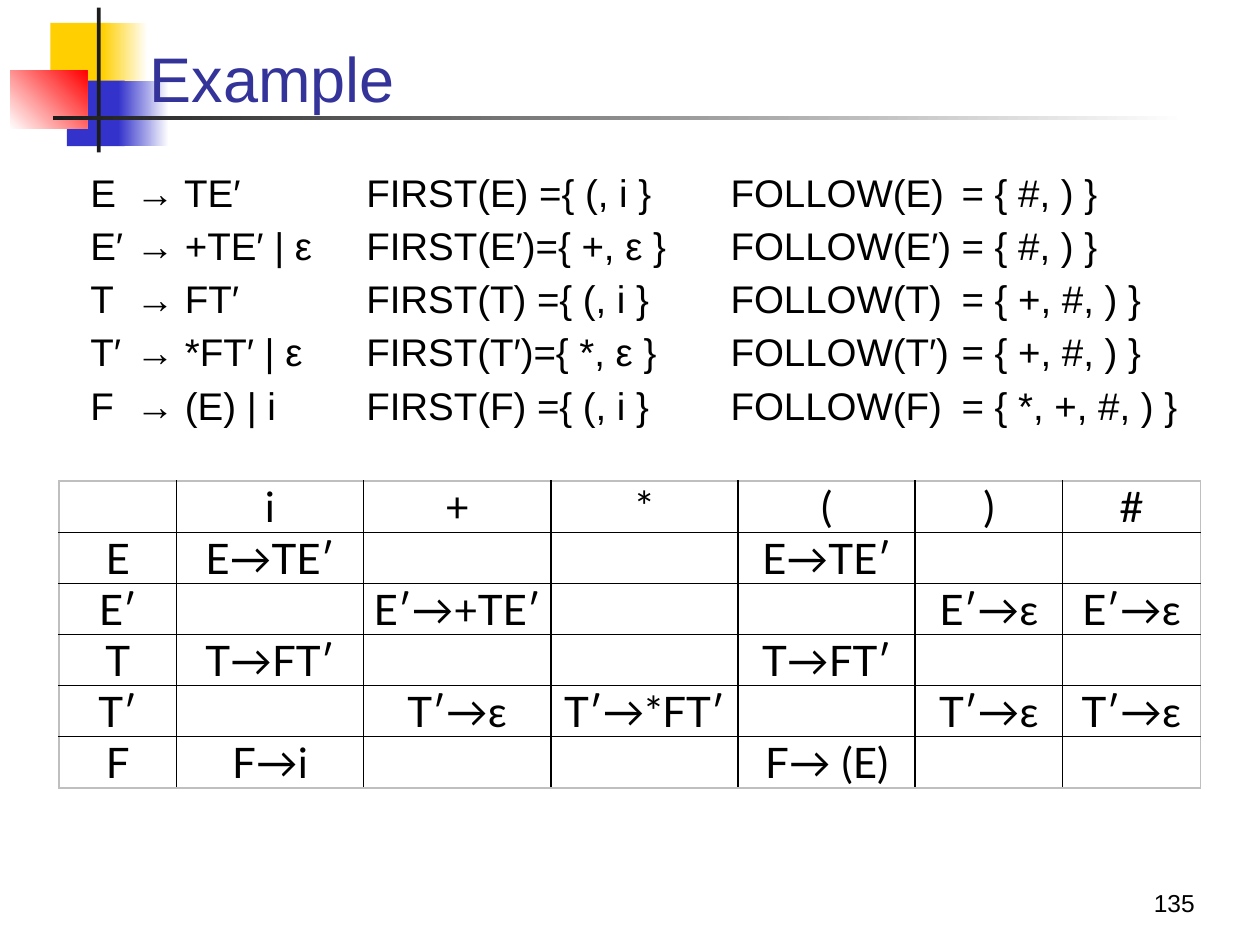
"""Build a slide with an LL(1) grammar, its FIRST and FOLLOW sets and the parse table."""
from dataclasses import dataclass
from lxml.etree import SubElement
from pptx import Presentation
from pptx.dml.color import RGBColor
from pptx.enum.shapes import MSO_SHAPE
from pptx.enum.text import MSO_ANCHOR, PP_ALIGN
from pptx.oxml.ns import qn
from pptx.util import Pt


@dataclass(frozen=True)
class Theme:
    yellow: str = "FFCF01"
    blue: str = "3333CC"
    red: str = "FF0000"
    dark: str = "1C1C1C"
    white: str = "FFFFFF"
    title: str = "333399"
    ink: str = "000000"
    frame: str = "BFBFBF"
    font: str = "Arial"
    table_font: str = "Lato"
    title_size: int = 36
    body_size: int = 22
    table_size: int = 24
    number_size: int = 14


T = Theme()

DECOR = [
    ((28.8, 13, 34.5, 37.5), [T.yellow], 0),
    ((58.3, 13, 26, 37.5), [T.yellow, T.white], 0),
    ((38.2, 46, 33, 37.5), [T.blue], 0),
    ((67.7, 46, 28.8, 37.5), [T.blue, T.white], 0),
    ((5.8, 40.3, 44, 33.2), [T.white, T.red], 45),
    ((55.4, 4.3, 2.2, 82.8), [T.dark], 0),
    ((30.3, 66.2, 648, 2.5), [T.dark, T.white], 0),
]
COLUMNS = [
    (44.6, 160, 26, ["E\t→ TE′", "E′\t→ +TE′ | ε", "T\t→ FT′", "T′\t→ *FT′ | ε", "F\t→ (E) | i"]),
    (202.3, 200, None, ["FIRST(E) ={ (, i }", "FIRST(E′)={ +, ε }", "FIRST(T) ={ (, i }",
                        "FIRST(T′)={ *, ε }", "FIRST(F) ={ (, i }"]),
    (410.4, 284, 132, ["FOLLOW(E)\t= { #, ) }", "FOLLOW(E′)\t= { #, ) }", "FOLLOW(T)\t= { +, #, ) }",
                       "FOLLOW(T′)\t= { +, #, ) }", "FOLLOW(F)\t= { *, +, #, ) }"]),
]
PARSE_TABLE = [
    ["", "i", "+", "*", "(", ")", "#"],
    ["E", "E→TE′", "", "", "E→TE′", "", ""],
    ["E′", "", "E′→+TE′", "", "", "E′→ε", "E′→ε"],
    ["T", "T→FT′", "", "", "T→FT′", "", ""],
    ["T′", "", "T′→ε", "T′→*FT′", "", "T′→ε", "T′→ε"],
    ["F", "F→i", "", "", "F→ (E)", "", ""],
]
COL_WIDTHS = [67, 107, 107, 107, 101.3, 84.2, 78.8]
ROW_HEIGHT = 29.2
TABLE_LEFT, TABLE_TOP = 33.8, 275


def rgb(color):
    return RGBColor.from_string(color)


def write(tf, lines, font=T.font, size=T.body_size, color=T.ink, align=PP_ALIGN.LEFT,
          anchor=MSO_ANCHOR.TOP, gap=0, spacing=None, tab=None):
    tf.word_wrap = True
    tf.vertical_anchor = anchor
    for i, line in enumerate(lines):
        p = tf.paragraphs[0] if i == 0 else tf.add_paragraph()
        if tab:
            tabs = SubElement(p._p.get_or_add_pPr(), qn("a:tabLst"))
            SubElement(tabs, qn("a:tab"), pos=str(Pt(tab)), algn="l")
        p.alignment = align
        p.space_before = Pt(gap if i else 0)
        if spacing:
            p.line_spacing = spacing
        r = p.add_run()
        r.text = line
        r.font.name, r.font.size = font, Pt(size)
        r.font.color.rgb = rgb(color)


def add_text(s, box, lines, **fmt):
    write(s.shapes.add_textbox(*map(Pt, box)).text_frame, lines, **fmt)


def add_block(s, box, colors, angle):
    sp = s.shapes.add_shape(MSO_SHAPE.RECTANGLE, *map(Pt, box))
    sp.shadow.inherit = False
    sp.line.fill.background()
    if len(colors) == 1:
        sp.fill.solid()
        sp.fill.fore_color.rgb = rgb(colors[0])
        return
    sp.fill.gradient()
    sp.fill.gradient_angle = angle
    for i, (stop, color) in enumerate(zip(sp.fill.gradient_stops, colors)):
        stop.position = i
        stop.color.rgb = rgb(color)


def set_borders(cell, outer):
    tcPr = cell._tc.get_or_add_tcPr()
    for side, is_outer in outer.items():
        ln = SubElement(tcPr, qn(f"a:ln{side}"), w=str(Pt(1)))
        fill = SubElement(ln, qn("a:solidFill"))
        SubElement(fill, qn("a:srgbClr"), val=T.frame if is_outer else T.ink)


def add_parse_table(s):
    n_rows, n_cols = len(PARSE_TABLE), len(COL_WIDTHS)
    box = (TABLE_LEFT, TABLE_TOP, sum(COL_WIDTHS), ROW_HEIGHT * n_rows)
    tbl = s.shapes.add_table(n_rows, n_cols, *map(Pt, box)).table
    tbl.first_row = tbl.horz_banding = False
    for col, width in zip(tbl.columns, COL_WIDTHS):
        col.width = Pt(width)
    for i, row in enumerate(PARSE_TABLE):
        tbl.rows[i].height = Pt(ROW_HEIGHT)
        for j, text in enumerate(row):
            cell = tbl.cell(i, j)
            cell.margin_left = cell.margin_right = Pt(1.4)
            cell.margin_top = cell.margin_bottom = 0
            set_borders(cell, {"L": j == 0, "R": j == n_cols - 1, "T": i == 0, "B": i == n_rows - 1})
            cell.fill.background()
            cell.vertical_anchor = MSO_ANCHOR.MIDDLE
            if text:
                write(cell.text_frame, [text], font=T.table_font, size=T.table_size,
                      align=PP_ALIGN.CENTER, anchor=MSO_ANCHOR.MIDDLE)


def main():
    prs = Presentation()
    prs.slide_width, prs.slide_height = Pt(720), Pt(540)
    s = prs.slides.add_slide(prs.slide_layouts[6])
    for block in DECOR:
        add_block(s, *block)
    add_text(s, (78.5, 15, 613.4, 54.7), ["Example"], size=T.title_size, color=T.title,
             anchor=MSO_ANCHOR.BOTTOM, spacing=0.85)
    add_text(s, (540, 491.8, 149.8, 36), ["135"], size=T.number_size,
             align=PP_ALIGN.RIGHT, anchor=MSO_ANCHOR.BOTTOM)
    for left, width, tab, lines in COLUMNS:
        add_text(s, (left, 93, width, 150), lines, gap=4, tab=tab)
    add_parse_table(s)
    prs.save("out.pptx")


if __name__ == "__main__":
    main()
